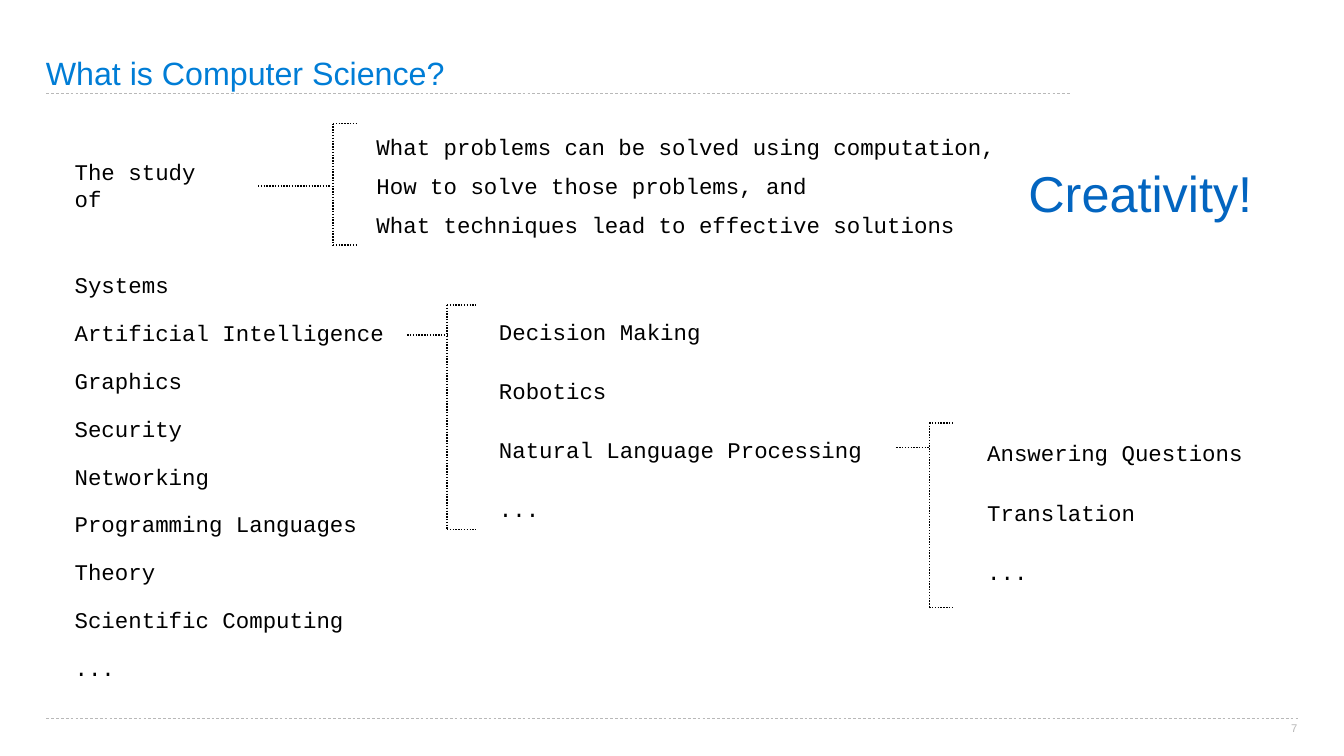
"""Build the slide that maps out the fields of computer science."""
from dataclasses import dataclass

from lxml.etree import SubElement
from pptx import Presentation
from pptx.dml.color import RGBColor
from pptx.enum.dml import MSO_LINE
from pptx.enum.shapes import MSO_CONNECTOR
from pptx.enum.text import MSO_ANCHOR, MSO_AUTO_SIZE, PP_ALIGN
from pptx.oxml.ns import qn
from pptx.shapes.base import BaseShape
from pptx.slide import Slide
from pptx.util import Inches, Length, Pt

SLIDE_WIDTH, SLIDE_HEIGHT = Inches(26.67), Inches(15)


@dataclass(frozen=True)
class Style:
    font: str
    size: float
    color: RGBColor
    align: PP_ALIGN = PP_ALIGN.LEFT
    anchor: MSO_ANCHOR = MSO_ANCHOR.MIDDLE
    inset: float = 0.06
    indent: float = 0.09
    line_spacing: float = 1.0
    wrap: bool = True


@dataclass(frozen=True)
class Theme:
    rule_color: RGBColor = RGBColor(0xB8, 0xB8, 0xB8)
    ink: RGBColor = RGBColor(0, 0, 0)
    rule_width: float = 1
    bracket_width: float = 2
    title: Style = Style("Arial", 46, RGBColor(0x00, 0x7D, 0xD6), anchor=MSO_ANCHOR.BOTTOM,
                         inset=0, indent=0, line_spacing=0.9)
    fields: Style = Style("Courier New", 32, ink, anchor=MSO_ANCHOR.TOP)
    topic: Style = Style("Courier New", 32, ink)
    slogan: Style = Style("Arial", 72, RGBColor(0x03, 0x65, 0xC0), PP_ALIGN.CENTER,
                          MSO_ANCHOR.TOP, 0.05, wrap=False)
    number: Style = Style("Arial", 16, rule_color, PP_ALIGN.CENTER, MSO_ANCHOR.TOP,
                          0, 0, wrap=False)


@dataclass(frozen=True)
class Area:
    """Left, top, width and height in percent of the slide."""
    left: float
    top: float
    width: float
    height: float


@dataclass(frozen=True)
class TextBlock:
    area: Area
    style: Style
    lines: tuple[str, ...]
    gap: float = 0


@dataclass(frozen=True)
class Bracket:
    """A stem leading into a square bracket, in percent of the slide."""
    stem_start: float
    stem_end: float
    stem_y: float
    spine: float
    tip: float
    top: float
    bottom: float


THEME = Theme()

TITLE = TextBlock(Area(3.41, 0, 76.15, 12.2), THEME.title, ("What is Computer Science?",))
FIELDS = TextBlock(
    Area(4.99, 35.47, 28.35, 55.6), THEME.fields,
    ("Systems", "Artificial Intelligence", "Graphics", "Security", "Networking",
     "Programming Languages", "Theory", "Scientific Computing", "..."), 30)
BLOCKS = (
    TextBlock(Area(4.99, 22.33, 12.75, 4.27), THEME.topic, ("The study of",)),
    TextBlock(Area(27.45, 17.27, 48.97, 14.47), THEME.topic,
              ("What problems can be solved using computation,",
               "How to solve those problems, and",
               "What techniques lead to effective solutions"), 17),
    TextBlock(Area(36.56, 40.07, 32.92, 31), THEME.topic,
              ("Decision Making", "Robotics", "Natural Language Processing", "..."), 46),
    TextBlock(Area(72.89, 56, 20.85, 23.47), THEME.topic,
              ("Answering Questions", "Translation", "..."), 46),
    TextBlock(Area(75.55, 21.13, 18.26, 8.73), THEME.slogan, ("Creativity!",)),
    TextBlock(Area(96.03, 95.47, 0.52, 1.6), THEME.number, ("7",)),
)
BRACKETS = (
    Bracket(19.2, 24.52, 24.6, 24.78, 26.66, 16.35, 32.4),
    Bracket(30.3, 33.26, 44.33, 33.26, 35.43, 40.33, 70.07),
    Bracket(66.7, 69.14, 59.2, 69.14, 70.94, 55.93, 80.33),
)
RULES = ((3.45, 79.72, 12.4), (3.45, 96.66, 95.07))


def across(percent: float) -> Length:
    """Turn a share of the width into a length."""
    return Length(round(SLIDE_WIDTH * percent / 100))


def down(percent: float) -> Length:
    """Turn a share of the height into a length."""
    return Length(round(SLIDE_HEIGHT * percent / 100))


def fill_text(box: BaseShape, block: TextBlock) -> None:
    """Place a box and write its formatted paragraphs."""
    area, style = block.area, block.style
    box.left, box.top = across(area.left), down(area.top)
    box.width, box.height = across(area.width), down(area.height)
    frame = box.text_frame
    frame.text = "\n".join(block.lines)
    frame.auto_size = MSO_AUTO_SIZE.NONE
    frame.word_wrap = style.wrap
    frame.vertical_anchor = style.anchor
    frame.margin_left = frame.margin_right = Inches(style.inset)
    frame.margin_top = frame.margin_bottom = Inches(style.inset)
    for index, para in enumerate(frame.paragraphs):
        properties = para._p.get_or_add_pPr()
        properties.set("marL", str(Inches(style.indent)))
        properties.set("indent", "0")
        SubElement(properties, qn("a:buNone"))
        para.alignment = style.align
        para.line_spacing = style.line_spacing
        para.space_before = Pt(block.gap if index else 0)
        for span in para.runs:
            span.font.name = style.font
            span.font.size = Pt(style.size)
            span.font.color.rgb = style.color


def draw_line(slide: Slide, start: tuple[float, float], end: tuple[float, float],
              color: RGBColor, width: float, dash: MSO_LINE) -> None:
    """Draw a straight dashed line between two points."""
    line = slide.shapes.add_connector(
        MSO_CONNECTOR.STRAIGHT, across(start[0]), down(start[1]), across(end[0]), down(end[1]))
    line.line.color.rgb = color
    line.line.width = Pt(width)
    line.line.dash_style = dash
    SubElement(line._element.spPr, qn("a:effectLst"))


def draw_bracket(slide: Slide, bracket: Bracket) -> None:
    """Draw the stem, spine and two arms of a bracket."""
    top, bottom = (bracket.spine, bracket.top), (bracket.spine, bracket.bottom)
    segments = (
        ((bracket.stem_start, bracket.stem_y), (bracket.stem_end, bracket.stem_y)),
        (top, bottom),
        (top, (bracket.tip, bracket.top)),
        (bottom, (bracket.tip, bracket.bottom)),
    )
    for start, end in segments:
        draw_line(slide, start, end, THEME.ink, THEME.bracket_width, MSO_LINE.ROUND_DOT)


def main() -> None:
    """Build and save the deck."""
    deck = Presentation()
    deck.slide_width, deck.slide_height = SLIDE_WIDTH, SLIDE_HEIGHT
    page = deck.slides.add_slide(deck.slide_layouts[1])
    for left, right, height in RULES:
        draw_line(page, (left, height), (right, height),
                  THEME.rule_color, THEME.rule_width, MSO_LINE.DASH)
    fill_text(page.shapes.title, TITLE)
    fill_text(page.placeholders[1], FIELDS)
    for block in BLOCKS:
        fill_text(page.shapes.add_textbox(0, 0, 0, 0), block)
    for bracket in BRACKETS:
        draw_bracket(page, bracket)
    deck.save("out.pptx")


if __name__ == "__main__":
    main()
